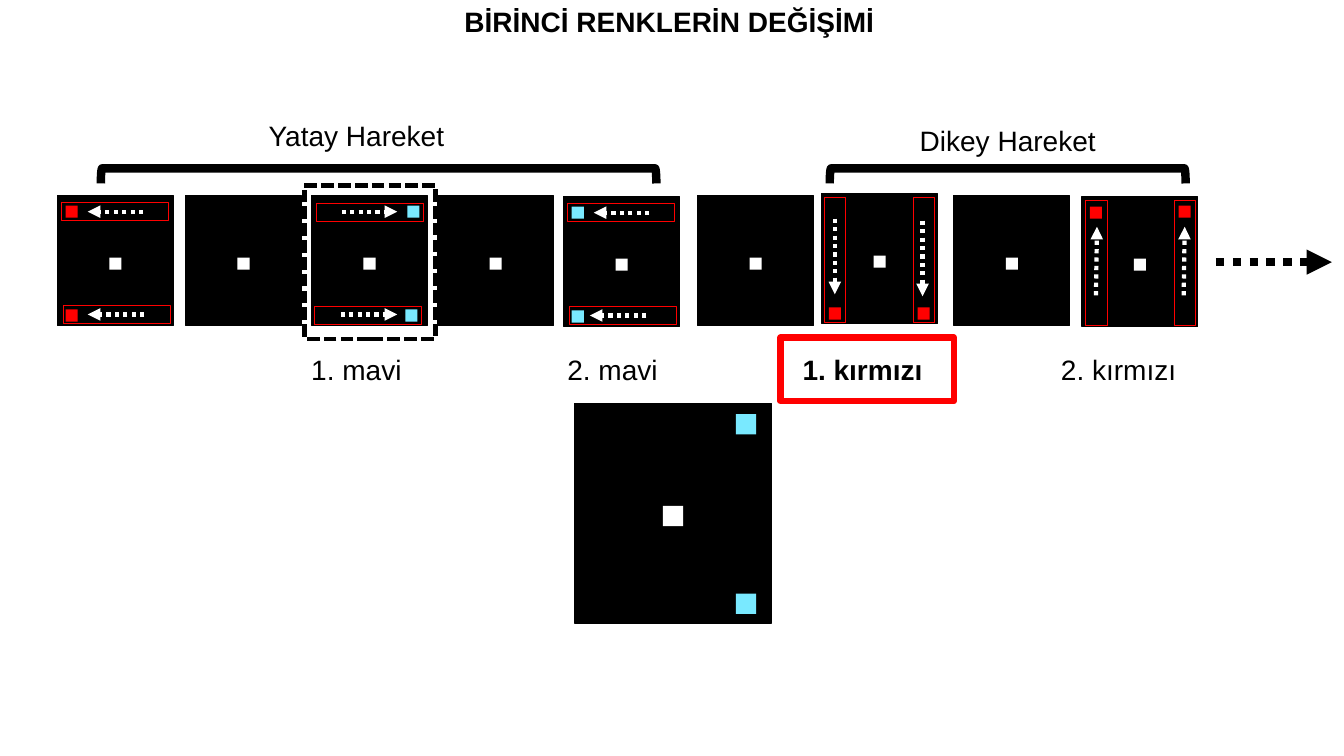
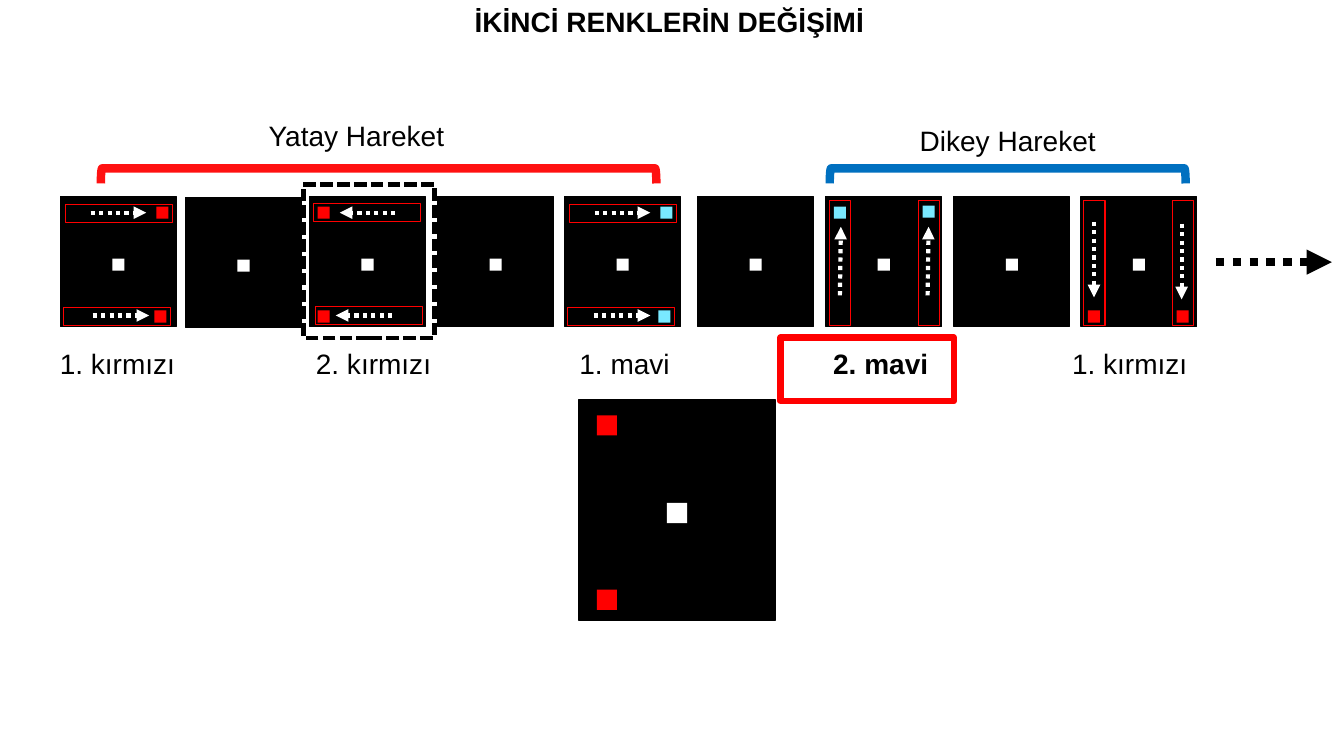
from lxml.etree import SubElement
from pptx import Presentation
from pptx.dml.color import RGBColor
from pptx.enum.dml import MSO_LINE
from pptx.enum.shapes import MSO_CONNECTOR, MSO_SHAPE
from pptx.enum.text import MSO_ANCHOR, PP_ALIGN
from pptx.oxml.ns import qn
from pptx.util import Inches, Pt

COLORS = {
    "black": "000000", "white": "FFFFFF", "red": "FF0000",
    "cyan": "79E9FF", "bright_red": "FF1111", "blue": "0070C0",
}
FONT = "Arial"
PANEL = (1.15, 1.29)
PROBE = (1.95, 2.18)
DOT, PROBE_DOT = 0.12, 0.2
LABEL = (2.45, 0.35)
FRAME = (1.3, 1.52)
ANSWER_BOX = (7.74, 3.35, 1.72, 0.63)
TIME_ARROW = (12.06, 2.6, 13.21, 2.6)
HEADINGS = [("Yatay Hareket", 2.31, 1.17), ("Dikey Hareket", 8.77, 1.22)]
BRACKETS = [(3.68, -1.01, 0.15, 5.51), (9.92, -0.02, 0.15, 3.53)]

MOTIONS = {
    "left": {
        "lane": (1.06, 0.18),
        "dots": [(0.08, 0.1), (0.08, 1.13)],
        "lanes": [(0.04, 0.07), (0.06, 1.09)],
        "arrows": [(0.85, 0.16, 0.3, 0.16), (0.82, 1.18, 0.26, 1.18)],
    },
    "right": {
        "lane": (1.06, 0.18),
        "dots": [(0.95, 0.1), (0.93, 1.13)],
        "lanes": [(0.05, 0.08), (0.03, 1.1)],
        "arrows": [(0.3, 0.16, 0.85, 0.16), (0.29, 1.18, 0.85, 1.18)],
    },
    "down": {
        "lane": (0.21, 1.24),
        "dots": [(0.07, 1.13), (0.95, 1.13)],
        "lanes": [(0.03, 0.04), (0.91, 0.04)],
        "arrows": [(0.13, 0.25, 0.13, 1.0), (1.0, 0.27, 1.0, 1.02)],
    },
    "up": {
        "lane": (0.21, 1.24),
        "dots": [(0.08, 0.1), (0.96, 0.09)],
        "lanes": [(0.04, 0.04), (0.92, 0.04)],
        "arrows": [(0.14, 0.98, 0.15, 0.3), (1.01, 0.98, 1.02, 0.3)],
    },
}

SLIDES = [
    {
        "title": "BİRİNCİ RENKLERİN DEĞİŞİMİ",
        "brackets": ["black", "black"],
        "panels": [
            (0.57, 1.94, "left", "red", 0.04), (1.84, 1.94),
            (3.09, 1.94, "right", "cyan"), (4.34, 1.94),
            (5.59, 1.95, "left", "cyan"), (6.92, 1.94),
            (8.15, 1.92, "down", "red"), (9.46, 1.94),
            (10.73, 1.95, "up", "red"),
        ],
        "frame": (3.02, 1.84),
        "probe": (5.7, 4.0, "cyan", [(1.6, 0.11), (1.6, 1.89)]),
        "label_top": 3.49,
        "labels": [("1. mavi", 2.31), ("2. mavi", 4.85),
                   ("1. kırmızı", 7.33), ("2. kırmızı", 9.87)],
        "answer": "1. kırmızı",
    },
    {
        "title": "İKİNCİ RENKLERİN DEĞİŞİMİ",
        "brackets": ["bright_red", "blue"],
        "panels": [
            (0.6, 1.95, "right", "red", 0.03), (1.84, 1.96),
            (3.07, 1.95, "left", "red"), (4.34, 1.95),
            (5.6, 1.95, "right", "cyan"), (6.92, 1.95),
            (8.19, 1.95, "up", "cyan"), (9.46, 1.95),
            (10.72, 1.95, "down", "red"),
        ],
        "frame": (3.01, 1.83),
        "probe": (5.74, 3.97, "red", [(0.18, 0.15), (0.18, 1.88)]),
        "label_top": 3.43,
        "labels": [("1. kırmızı", -0.06), ("2. kırmızı", 2.48), ("1. mavi", 4.97),
                   ("2. mavi", 7.51), ("1. kırmızı", 9.98)],
        "answer": "2. mavi",
    },
]


def rgb(name):
    return RGBColor.from_string(COLORS[name])


def add_box(shapes, x, y, w, h, fill=None, line=None, width=1, dash=None,
            kind=MSO_SHAPE.RECTANGLE):
    sp = shapes.add_shape(kind, Inches(x), Inches(y), Inches(w), Inches(h))
    sp.shadow.inherit = False
    if fill:
        sp.fill.solid()
        sp.fill.fore_color.rgb = rgb(fill)
    else:
        sp.fill.background()
    if line:
        sp.line.color.rgb = rgb(line)
        sp.line.width = Pt(width)
        if dash:
            sp.line.dash_style = dash
    else:
        sp.line.fill.background()
    return sp


def add_arrow(shapes, x1, y1, x2, y2, color="white", width=3):
    cx = shapes.add_connector(MSO_CONNECTOR.STRAIGHT, Inches(x1), Inches(y1),
                              Inches(x2), Inches(y2))
    cx.line.color.rgb = rgb(color)
    cx.line.width = Pt(width)
    cx.line.dash_style = MSO_LINE.ROUND_DOT
    spPr = cx._element.spPr
    SubElement(spPr.find(qn("a:ln")), qn("a:tailEnd"), type="triangle")
    SubElement(spPr, qn("a:effectLst"))


def add_text(shapes, text, x, y, w, h, size=20, bold=False, color="black"):
    tf = shapes.add_textbox(Inches(x), Inches(y), Inches(w), Inches(h)).text_frame
    tf.word_wrap = True
    tf.vertical_anchor = MSO_ANCHOR.MIDDLE
    p = tf.paragraphs[0]
    p.alignment = PP_ALIGN.CENTER
    r = p.add_run()
    r.text = text
    r.font.name = FONT
    r.font.size = Pt(size)
    r.font.bold = bold
    r.font.color.rgb = rgb(color)


def add_display(shapes, x, y, size, dot, color=None, dots=()):
    w, h = size
    group = shapes.add_group_shape().shapes
    add_box(group, x, y, w, h, fill="black", line="black")
    add_box(group, x + (w - dot) / 2, y + (h - dot) / 2 + 0.03, dot, dot, fill="white")
    for dx, dy in dots:
        add_box(group, x + dx, y + dy, dot, dot, fill=color)
    return group


def add_panel(shapes, x, y, motion=None, color=None, shift=0):
    if motion is None:
        add_display(shapes, x, y, PANEL, DOT)
        return
    m = MOTIONS[motion]
    group = add_display(shapes, x, y, PANEL, DOT, color, m["dots"])
    for dx, dy in m["lanes"]:
        add_box(group, x + dx, y + dy, *m["lane"], line="red", width=0.75)
    for (x1, y1, x2, y2), s in zip(m["arrows"], (0, shift)):
        add_arrow(group, x + x1 + s, y + y1, x + x2 + s, y + y2)


def build_slide(prs, data):
    shapes = prs.slides.add_slide(prs.slide_layouts[6]).shapes
    add_text(shapes, data["title"], 4.36, 0, 4.56, 0.43, bold=True)
    for text, x, y in HEADINGS:
        add_text(shapes, text, x, y, *LABEL)
    for place, color in zip(BRACKETS, data["brackets"]):
        sp = add_box(shapes, *place, line=color, width=6, kind=MSO_SHAPE.RIGHT_BRACKET)
        sp.rotation = 270
    for panel in data["panels"]:
        add_panel(shapes, *panel)
    add_box(shapes, *data["frame"], *FRAME, line="black", width=3,
            dash=MSO_LINE.SQUARE_DOT)
    add_arrow(shapes, *TIME_ARROW, color="black", width=6)
    x, y, color, dots = data["probe"]
    add_display(shapes, x, y, PROBE, PROBE_DOT, color, dots)
    for text, x in data["labels"]:
        add_text(shapes, text, x, data["label_top"], *LABEL,
                 bold=text == data["answer"])
    add_box(shapes, *ANSWER_BOX, line="red", width=4.5)


def main():
    prs = Presentation()
    prs.slide_width = Inches(13.33)
    prs.slide_height = Inches(7.5)
    for data in SLIDES:
        build_slide(prs, data)
    prs.save("out.pptx")


if __name__ == "__main__":
    main()
